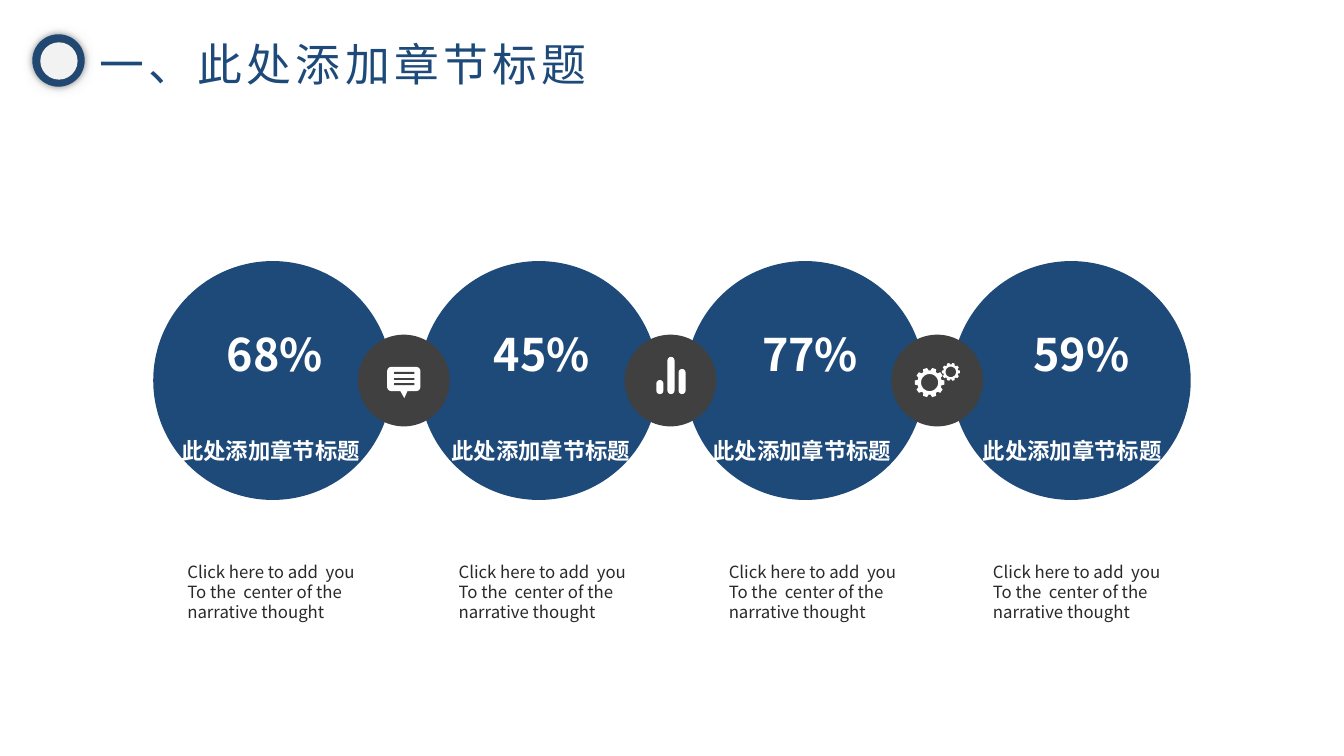
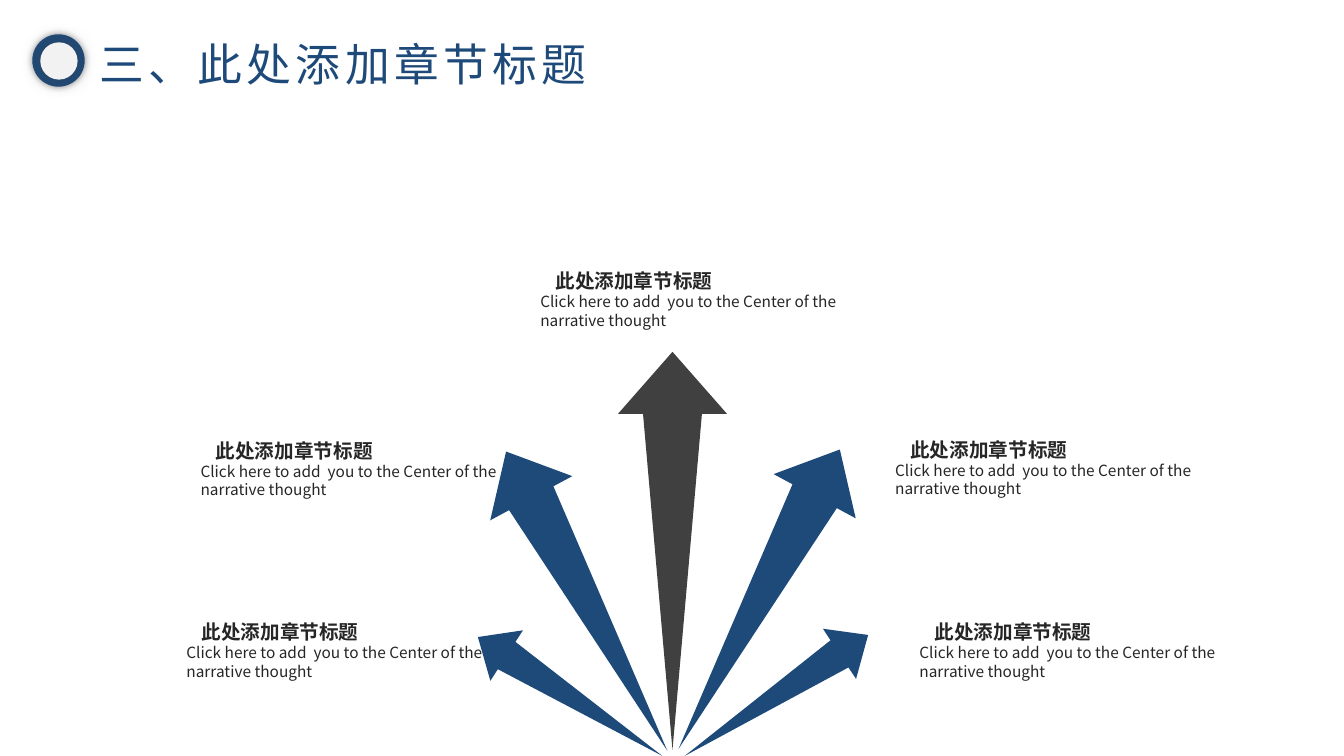
from math import cos, hypot, radians, sin

from lxml.etree import SubElement
from pptx import Presentation
from pptx.dml.color import RGBColor
from pptx.enum.shapes import MSO_SHAPE as Shape
from pptx.enum.text import MSO_ANCHOR as Anchor, MSO_AUTO_SIZE as AutoSize, PP_ALIGN as Align
from pptx.oxml.ns import qn
from pptx.util import Inches, Pt

FONT = "Noto Sans CJK SC"
NAVY, CHARCOAL, INK, WHITE, PALE = "1E4A7A", "404040", "262626", "FFFFFF", "F2F2F2"
ICON_WHITE = "FEFEFE"
LINE_PITCH = 1.2

HEADING = "此处添加章节标题"
STAT_LINES = ["Click here to add  you", "To the  center of the", "narrative thought"]
ARROW_LINES = ["Click here to add  you to the Center of the", "narrative thought"]

STATS = [
    {"value": "68%", "value_left": 2.15, "heading_left": 1.7, "lines_left": 1.76},
    {"value": "45%", "value_left": 4.8, "heading_left": 4.38, "lines_left": 4.45},
    {"value": "77%", "value_left": 7.46, "heading_left": 6.97, "lines_left": 7.13},
    {"value": "59%", "value_left": 10.15, "heading_left": 9.65, "lines_left": 9.75},
]
DISC_LEFT, DISC_TOP, DISC_SIZE, DISC_PITCH = 1.52, 2.59, 2.37, 2.64
HUB_LEFT, HUB_TOP, HUB_SIZE, HUB_PITCH = 3.55, 3.32, 0.91, 2.645

BUBBLE_LINE_TOPS = [3.69, 3.75, 3.8]
BARS = [(6.51, 3.77), (6.62, 3.54), (6.73, 3.66)]
BAR_WIDTH, BAR_BOTTOM = 0.07, 3.91
GEARS = [(9.22, 3.795, 0.147), (9.43, 3.69, 0.09)]
GEAR_TEETH = 10

ARROWS = [
    ((6.67, 3.49), (6.67, 7.44), CHARCOAL),
    ((8.33, 4.46), (6.73, 7.43), NAVY),
    ((8.61, 6.3), (6.79, 7.5), NAVY),
    ((5.02, 4.48), (6.62, 7.45), NAVY),
    ((4.74, 6.32), (6.57, 7.5), NAVY),
]
ARROW_OUTLINE = [(0, 0), (0.156, 0.137), (0.156, 0.074), (1, 0), (0.156, -0.074), (0.156, -0.137)]
CAPTIONS = [(5.26, 2.62), (8.78, 4.29), (9.02, 6.1), (1.75, 6.1), (1.89, 4.3)]


def rgb(value):
    return RGBColor.from_string(value)


def write(frame, text, size=12, color=INK, bold=False, spacing=0, indent=0, more=False):
    paragraph = frame.add_paragraph() if more else frame.paragraphs[0]
    paragraph.alignment = Align.LEFT
    paragraph.line_spacing = Pt(size * LINE_PITCH)
    if indent:
        properties = paragraph._p.get_or_add_pPr()
        properties.set("marL", str(Inches(indent)))
        properties.set("indent", "0")
    run = paragraph.add_run()
    run.text = text
    font = run.font
    font.size, font.bold, font.name = Pt(size), bold, FONT
    font.color.rgb = rgb(color)
    run_properties = run._r.get_or_add_rPr()
    SubElement(run_properties, qn("a:ea")).set("typeface", FONT)
    if spacing:
        run_properties.set("spc", str(spacing * 100))


def text_area(slide, left, top, width, height):
    frame = slide.shapes.add_textbox(*map(Inches, (left, top, width, height))).text_frame
    frame.word_wrap = True
    return frame


def paint(shape, color):
    shape.shadow.inherit = False
    shape.fill.solid()
    shape.fill.fore_color.rgb = rgb(color)
    shape.line.fill.background()
    return shape


def preset(slide, kind, left, top, width, height, color):
    shape = slide.shapes.add_shape(kind, *map(Inches, (left, top, width, height)))
    return paint(shape, color)


def outline(slide, contours, color):
    builder = None
    for contour in contours:
        points = [(Inches(x), Inches(y)) for x, y in contour]
        if builder is None:
            builder = slide.shapes.build_freeform(*points[0])
        else:
            builder.move_to(*points[0])
        builder.add_line_segments(points[1:], close=True)
    return paint(builder.convert_to_shape(), color)


def glow(shape, color, opacity, blur):
    effects = shape._element.spPr.find(qn("a:effectLst"))
    shadow = SubElement(effects, qn("a:outerShdw"), blurRad=str(Pt(blur)), dist="0", dir="0",
                        algn="ctr", rotWithShape="0")
    tint = SubElement(shadow, qn("a:srgbClr"), val=color)
    SubElement(tint, qn("a:alpha"), val=str(opacity * 1000))


def section_slide(deck, title):
    slide = deck.slides.add_slide(deck.slide_layouts[5])
    glow(preset(slide, Shape.OVAL, 0.32, 0.34, 0.52, 0.52, NAVY), "000000", 40, 5)
    glow(preset(slide, Shape.OVAL, 0.4, 0.42, 0.37, 0.37, PALE), CHARCOAL, 50, 15)
    heading = slide.shapes.title
    heading.left, heading.top, heading.width, heading.height = map(Inches, (0.92, 0.32, 5.46, 0.61))
    frame = heading.text_frame
    frame.auto_size, frame.vertical_anchor, frame.word_wrap = AutoSize.NONE, Anchor.TOP, True
    frame.margin_left = frame.margin_right = Inches(0.07)
    frame.margin_top = frame.margin_bottom = Inches(0.04)
    write(frame, title, size=32, color=NAVY, spacing=3)
    return slide


def polar(x, y, radius, degrees):
    return x + radius * cos(radians(degrees)), y + radius * sin(radians(degrees))


def draw_gear(slide, x, y, radius):
    step = 360 / GEAR_TEETH
    profile = [(-13, 0.82), (-8, 1), (8, 1), (13, 0.82)]
    rim = [polar(x, y, radius * reach, tooth * step + turn)
           for tooth in range(GEAR_TEETH) for turn, reach in profile]
    hole = [polar(x, y, radius * 0.58, -turn) for turn in range(0, 360, 10)]
    outline(slide, [rim, hole], ICON_WHITE)


def draw_bubble(slide):
    tail = [(3.96, 3.86), (4.05, 3.86), (4.01, 3.95)]
    outline(slide, [tail], ICON_WHITE)
    preset(slide, Shape.ROUNDED_RECTANGLE, 3.84, 3.64, 0.33, 0.24, ICON_WHITE)
    for top in BUBBLE_LINE_TOPS:
        preset(slide, Shape.RECTANGLE, 3.91, top, 0.2, 0.02, CHARCOAL)


def draw_bars(slide):
    for left, top in BARS:
        bar = preset(slide, Shape.ROUNDED_RECTANGLE, left, top, BAR_WIDTH, BAR_BOTTOM - top, ICON_WHITE)
        bar.adjustments[0] = 0.5


def draw_stats(slide):
    for index in range(len(STATS)):
        preset(slide, Shape.OVAL, DISC_LEFT + index * DISC_PITCH, DISC_TOP, DISC_SIZE, DISC_SIZE, NAVY)
    for index in range(len(STATS) - 1):
        preset(slide, Shape.OVAL, HUB_LEFT + index * HUB_PITCH, HUB_TOP, HUB_SIZE, HUB_SIZE, CHARCOAL)
    draw_bubble(slide)
    draw_bars(slide)
    for gear in GEARS:
        draw_gear(slide, *gear)
    for stat in STATS:
        write(text_area(slide, stat["value_left"], 3.19, 1.3, 0.64), stat["value"],
              size=32, color=WHITE, bold=True)
        write(text_area(slide, stat["heading_left"], 4.29, 2.1, 0.37), HEADING,
              size=16, color=WHITE, bold=True)
        description = text_area(slide, stat["lines_left"], 5.52, 1.96, 0.7)
        for index, line in enumerate(STAT_LINES):
            write(description, line, color="292929", more=index > 0)


def draw_arrow(slide, tip, tail, color):
    run, drop = tail[0] - tip[0], tail[1] - tip[1]
    points = [(tip[0] + along * run - across * drop, tip[1] + along * drop + across * run)
              for along, across in ARROW_OUTLINE]
    outline(slide, [points], color)


def draw_arrows(slide):
    for arrow in ARROWS:
        draw_arrow(slide, *arrow)
    for left, top in CAPTIONS:
        caption = text_area(slide, left, top, 3.42, 0.72)
        write(caption, HEADING, size=14, bold=True, indent=0.15)
        for line in ARROW_LINES:
            write(caption, line, size=11, more=True)


def main():
    deck = Presentation()
    deck.slide_width, deck.slide_height = Inches(13.33), Inches(7.5)
    draw_stats(section_slide(deck, "一、此处添加章节标题"))
    draw_arrows(section_slide(deck, "三、此处添加章节标题"))
    deck.save("out.pptx")


if __name__ == "__main__":
    main()
